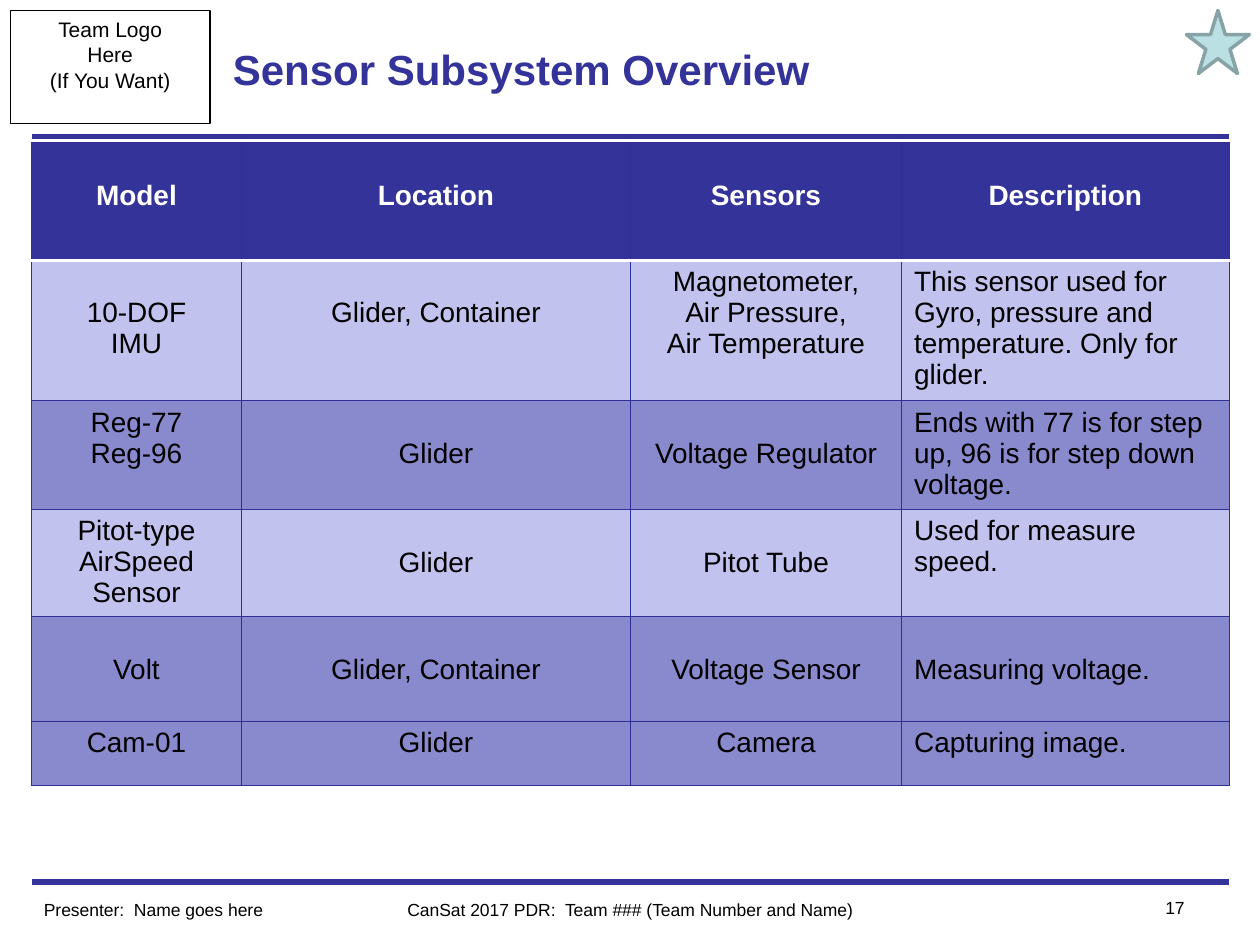
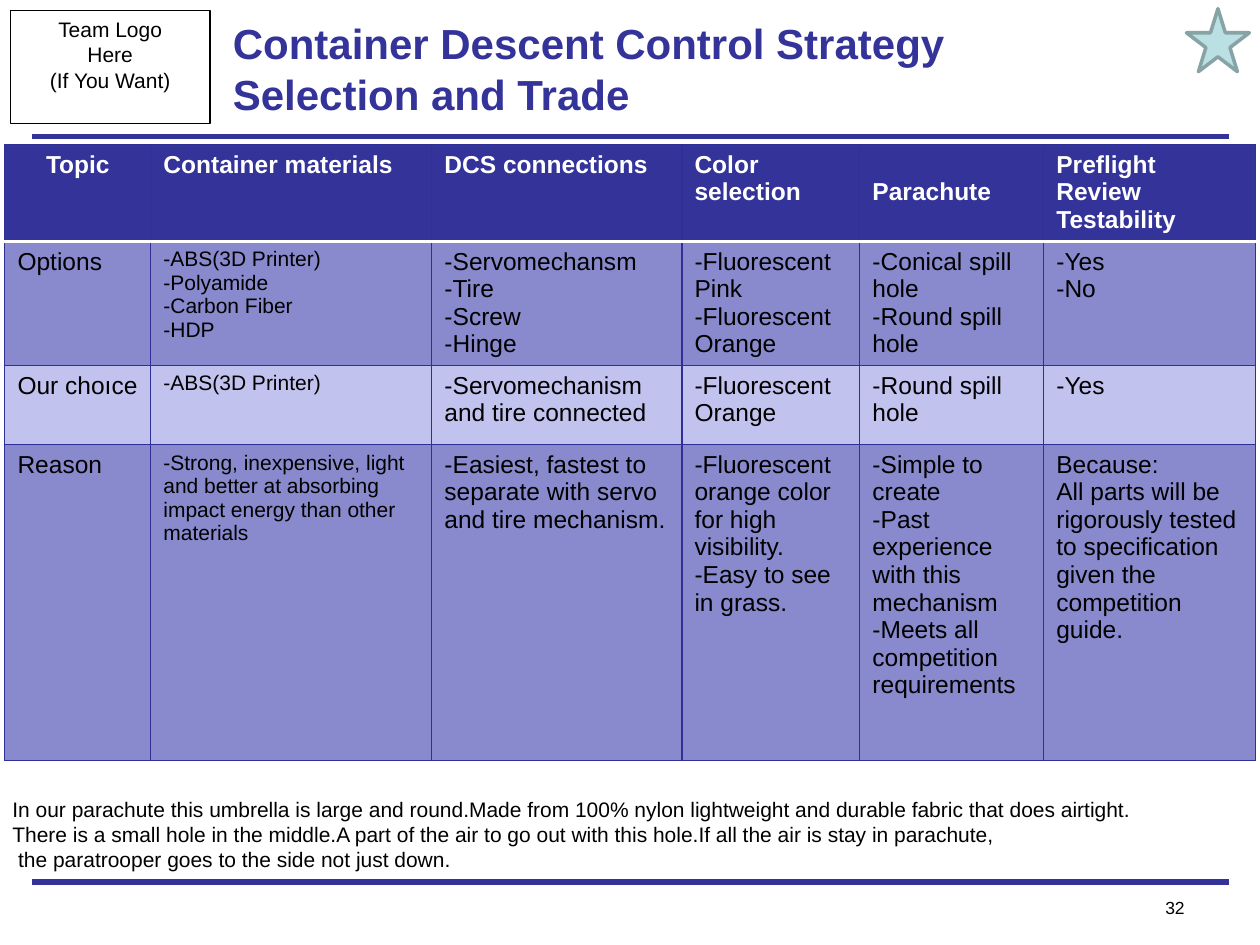
from lxml import etree
from pptx import Presentation
from pptx.dml.color import RGBColor
from pptx.enum.shapes import MSO_CONNECTOR as Conn, MSO_SHAPE as Shape
from pptx.enum.text import MSO_ANCHOR as Anchor, PP_ALIGN as Align
from pptx.oxml.ns import qn
from pptx.util import Pt

NAVY, EDGE, DARK, PALE = "333399", "2F2F98", "8989CD", "C2C2EF"
BLACK, WHITE = "000000", "FFFFFF"
hue = RGBColor.from_string


def write(frame, text, size, color=BLACK, bold=False, align=Align.LEFT):
    """Put each line of text in its own paragraph."""
    frame.word_wrap = True
    frame.text = text
    for para in frame.paragraphs:
        para.alignment = align
        font = para.font
        font.name, font.size, font.bold = "Arial", Pt(size), bold
        font.color.rgb = hue(color)


def edge(cell, side, color, width):
    """Draw one border of a cell; call in the order L, R, T, B."""
    props = cell._tc.get_or_add_tcPr()
    line = etree.Element(qn("a:ln" + side), w=str(Pt(width)))
    fill = etree.SubElement(line, qn("a:solidFill"))
    etree.SubElement(fill, qn("a:srgbClr"), val=color)
    props.insert("LRTB".index(side), line)


SENSORS = [
    ["Model", "Location", "Sensors", "Description"],
    ["10-DOF\nIMU", "Glider, Container",
     "Magnetometer,\nAir Pressure,\nAir Temperature",
     "This sensor used for Gyro, pressure and temperature. Only for glider."],
    ["Reg-77\nReg-96", "Glider", "Voltage Regulator",
     "Ends with 77 is for step up, 96 is for step down voltage."],
    ["Pitot-type AirSpeed Sensor", "Glider", "Pitot Tube",
     "Used for measure speed."],
    ["Volt", "Glider, Container", "Voltage Sensor", "Measuring voltage."],
    ["Cam-01", "Glider", "Camera", "Capturing image."],
]
TRADE = [
    ["Topic", "Container materials", "DCS connections", "Color selection",
     "Parachute", "Preflight Review Testability"],
    ["Options", "-ABS(3D Printer)\n-Polyamide\n-Carbon Fiber\n-HDP",
     "-Servomechansm\n-Tire\n-Screw\n-Hinge",
     "-Fluorescent Pink\n-Fluorescent Orange",
     "-Conical spill hole\n-Round spill hole", "-Yes\n-No"],
    ["Our choıce", "-ABS(3D Printer)", "-Servomechanism and tire connected",
     "-Fluorescent Orange", "-Round spill hole", "-Yes"],
    ["Reason",
     "-Strong, inexpensive, light and better at absorbing impact energy "
     "than other materials",
     "-Easiest, fastest to separate with servo and tire mechanism.",
     "-Fluorescent orange color for high visibility.\n-Easy to see in grass.",
     "-Simple to create\n-Past experience with this mechanism\n"
     "-Meets all competition requirements",
     "Because:\nAll parts will be rigorously tested to specification given "
     "the competition guide."],
]
NOTE = (
    "In our parachute this umbrella is large and round.Made from 100% nylon "
    "lightweight and durable fabric that does airtight.\n"
    "There is a small hole in the middle.A part of the air to go out with "
    "this hole.If all the air is stay in parachute,\n"
    "the paratrooper goes to the side not just down."
)

# "low" lists the (row, column) cells whose text starts one line down;
# "center" and "small" list columns below the header.
PAGES = [
    dict(title="Sensor Subsystem Overview", page="17", star=6, rows=SENSORS,
         at=(18, 81.4), size=16, widths=[120, 222.3, 154.9, 187.3],
         heights=[67.2, 80.4, 62, 61.2, 60, 36.5],
         tints=[PALE, DARK, PALE, DARK, DARK],
         heads=[0, 1, 2, 3], center=[0, 1, 2], small=[],
         low=[(0, 0), (0, 1), (0, 2), (0, 3), (1, 0), (1, 1), (2, 1), (2, 2),
              (3, 1), (3, 2), (4, 0), (4, 1), (4, 2), (4, 3)]),
    dict(title="Container Descent Control Strategy Selection and Trade",
         page="32", star=5, rows=TRADE, at=(2.8, 82.6), size=14,
         widths=[83.4, 160.6, 142.9, 101.7, 105.1, 121],
         heights=[55.4, 70.8, 45.3, 180.5], tints=[DARK, PALE, DARK],
         heads=[0], center=[], small=[1], low=[(0, 4)]),
]

deck = Presentation()
deck.slide_width, deck.slide_height = Pt(720), Pt(540)

for page in PAGES:
    slide = deck.slides.add_slide(deck.slide_layouts[6])
    shapes = slide.shapes

    for y in (77.9, 504):
        rule = shapes.add_connector(Conn.STRAIGHT, Pt(18), Pt(y), Pt(702), Pt(y))
        rule.line.color.rgb, rule.line.width = hue(NAVY), Pt(3)
        etree.SubElement(rule._element.spPr, qn("a:effectLst"))

    logo = shapes.add_shape(Shape.RECTANGLE, Pt(6), Pt(6), Pt(114), Pt(64.8))
    logo.shadow.inherit = False
    logo.fill.background()
    logo.line.color.rgb, logo.line.width = hue(BLACK), Pt(0.75)
    logo.text_frame.vertical_anchor = Anchor.TOP
    write(logo.text_frame, "Team Logo\nHere\n(If You Want)", 12,
          align=Align.CENTER)

    title = shapes.add_textbox(Pt(126), Pt(6), Pt(468), Pt(66)).text_frame
    title.vertical_anchor = Anchor.MIDDLE
    write(title, page["title"], 24, NAVY, True)

    feet = [(630, 509, 54, page["page"], Align.RIGHT)]
    if page["rows"] is SENSORS:
        feet += [
            (18, 510, 180, "Presenter:  Name goes here", Align.LEFT),
            (216, 510, 288, "CanSat 2017 PDR:  Team ### (Team Number and Name)",
             Align.CENTER),
        ]
    for x, y, wide, text, align in feet:
        foot = shapes.add_textbox(Pt(x), Pt(y), Pt(wide), Pt(19.4))
        write(foot.text_frame, text, 10, align=align)

    star = shapes.add_shape(Shape.STAR_5_POINT, Pt(678), Pt(page["star"]),
                            Pt(36), Pt(36))
    star.shadow.inherit = False
    star.fill.solid()
    star.fill.fore_color.rgb = hue("BBE0E3")
    star.line.color.rgb, star.line.width = hue("88A3A5"), Pt(2)

    rows, wides, highs = page["rows"], page["widths"], page["heights"]
    left, top = page["at"]
    table = shapes.add_table(len(rows), len(wides), Pt(left), Pt(top),
                             Pt(sum(wides)), Pt(sum(highs))).table
    for col, wide in zip(table.columns, wides):
        col.width = Pt(wide)
    for r, row in enumerate(rows):
        table.rows[r].height = Pt(highs[r])
        head = r == 0
        for c, text in enumerate(row):
            cell = table.cell(r, c)
            mid = c in page["heads" if head else "center"]
            size = 12 if c in page["small"] and not head else page["size"]
            write(cell.text_frame, text, size, WHITE if head else BLACK, head,
                  Align.CENTER if mid else Align.LEFT)
            cell.margin_bottom = 0
            if (r, c) in page["low"]:
                cell.margin_top = Pt(3.6 + 1.12 * size)
            cell.fill.solid()
            cell.fill.fore_color.rgb = hue(NAVY if head else page["tints"][r - 1])
            for side in "LRTB":
                thick = (r, side) in [(0, "B"), (1, "T")]
                edge(cell, side, WHITE if thick else EDGE, 2 if thick else 0.75)

    if page["rows"] is TRADE:
        note = shapes.add_textbox(0, Pt(451.4), Pt(655), Pt(51)).text_frame
        write(note, NOTE, 12)
        note.word_wrap = False
        note.paragraphs[-1]._p.get_or_add_pPr().set("marL", str(Pt(3.3)))

deck.save("out.pptx")
